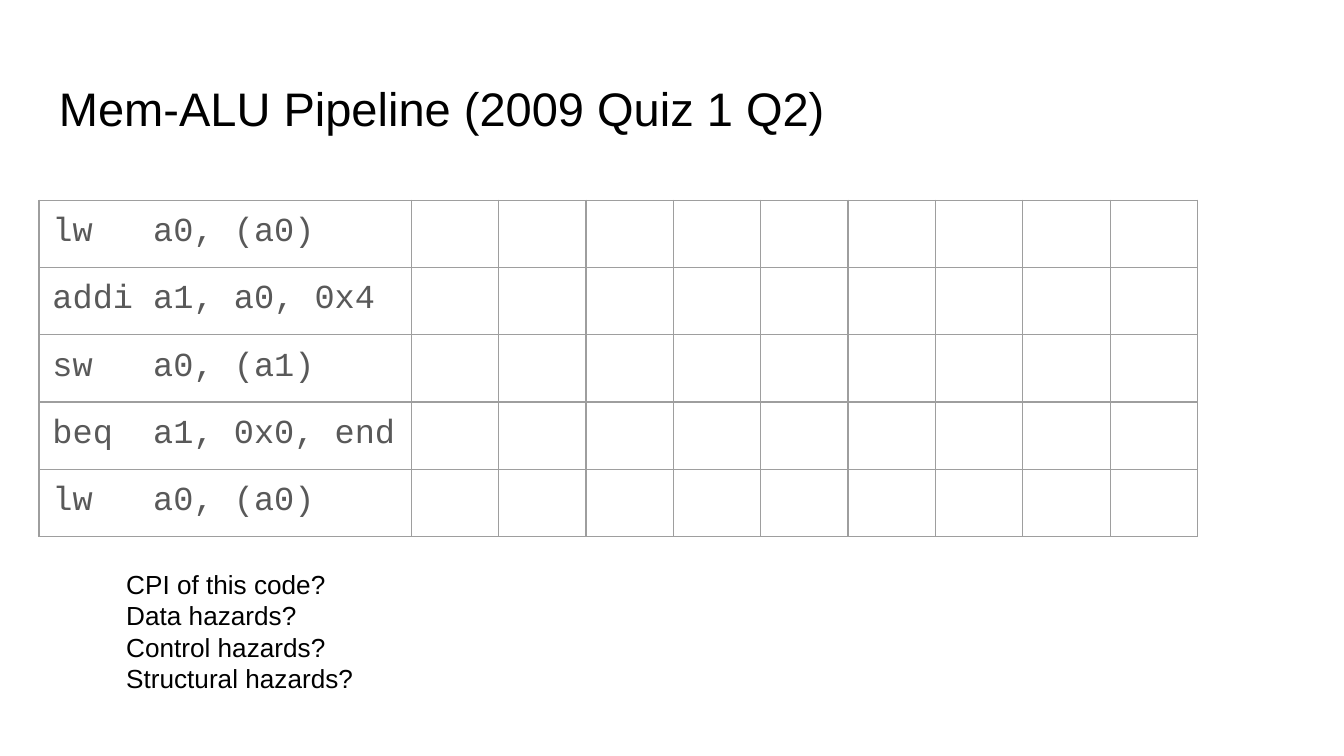
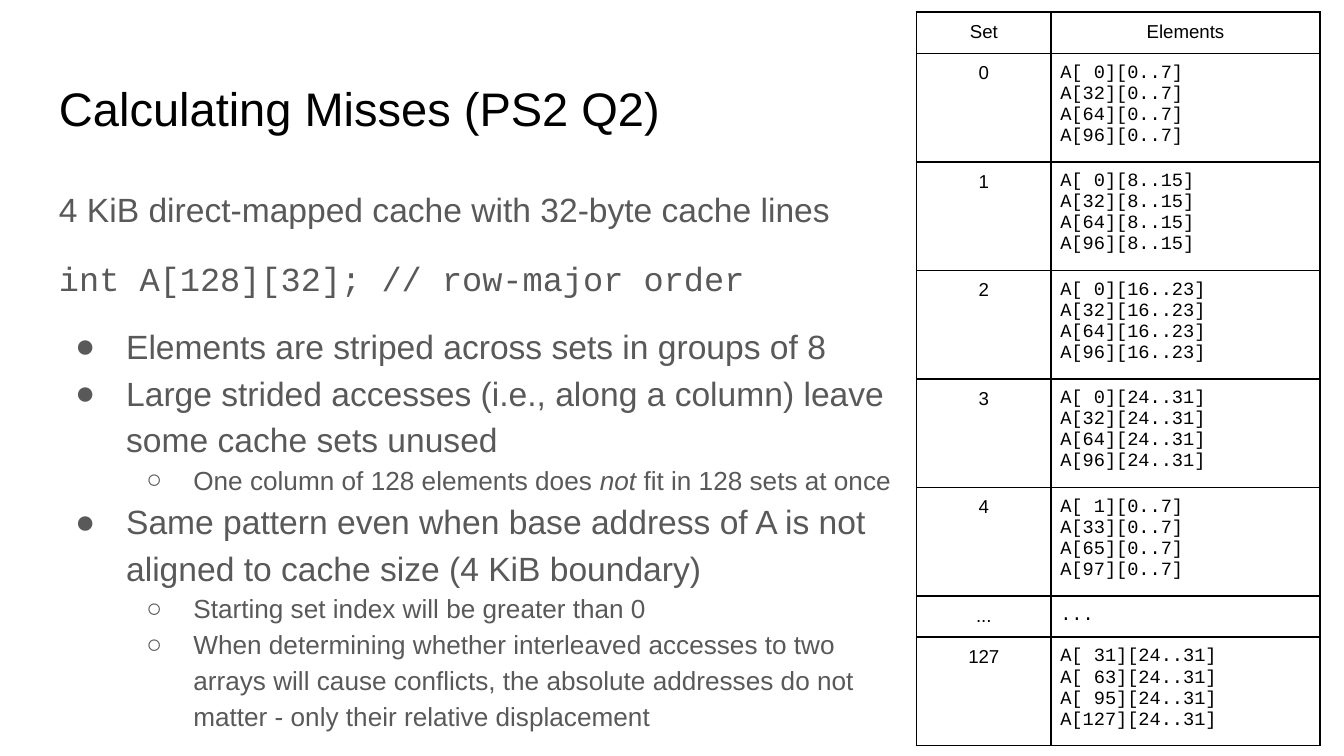
from lxml import etree
from pptx import Presentation
from pptx.dml.color import RGBColor
from pptx.enum.text import MSO_ANCHOR, MSO_AUTO_SIZE, PP_ALIGN
from pptx.oxml.ns import qn
from pptx.util import Inches, Pt

TOP = MSO_ANCHOR.TOP
LEFT, CENTER = PP_ALIGN.LEFT, PP_ALIGN.CENTER
GROW = MSO_AUTO_SIZE.SHAPE_TO_FIT_TEXT

BLACK = RGBColor(0x00, 0x00, 0x00)
GREY = RGBColor(0x59, 0x59, 0x59)
GRID = RGBColor(0x9E, 0x9E, 0x9E)
SANS, MONO = "Arial", "Courier New"

PIPELINE_TITLE = "Mem-ALU Pipeline (2009 Quiz 1 Q2)"
INSTRUCTIONS = [
    "lw   a0, (a0)",
    "addi a1, a0, 0x4",
    "sw   a0, (a1)",
    "beq  a1, 0x0, end",
    "lw   a0, (a0)",
]
CYCLES = 9
QUESTIONS = ["CPI of this code?", "Data hazards?", "Control hazards?", "Structural hazards?"]

MISSES_TITLE = "Calculating Misses (PS2 Q2)"
INTRO = [
    ("4 KiB direct-mapped cache with 32-byte cache lines", SANS, 0),
    ("int A[128][32]; // row-major order", MONO, 12),
]
BULLETS = [
    (0, ["Elements are striped across sets in groups of 8"]),
    (0, ["Large strided accesses (i.e., along a column) leave some cache sets unused"]),
    (1, ["One column of 128 elements does ", "not", " fit in 128 sets at once"]),
    (0, ["Same pattern even when base address of A is not aligned to cache size "
         "(4 KiB boundary)"]),
    (1, ["Starting set index will be greater than 0"]),
    (1, ["When determining whether interleaved accesses to two arrays will cause conflicts, "
         "the absolute addresses do not matter - only their relative displacement"]),
]
BULLET_STYLES = [("●", 0.5, -0.38, 18), ("○", 1, -0.35, 14)]
SETS_SHOWN = [0, 1, 2, 3, 4, None, 127]
GROUP, GROUPS_PER_ROW, ROW_STRIDE, ROWS = 8, 4, 32, 128
TABLE_FRAME = 3.28


def add_run(p, text, size, color, font=SANS, italic=False):
    r = p.add_run()
    r.text = text
    r.font.size = Pt(size)
    r.font.name = font
    r.font.color.rgb = color
    if italic:
        r.font.italic = True


def next_paragraph(tf):
    return tf.paragraphs[0] if not tf.paragraphs[0].runs else tf.add_paragraph()


def add_text_box(s, x, y, w, h):
    tf = s.shapes.add_textbox(Inches(x), Inches(y), Inches(w), Inches(h)).text_frame
    tf.word_wrap = True
    tf.vertical_anchor = TOP
    tf.margin_left = tf.margin_right = tf.margin_top = tf.margin_bottom = Inches(0.1)
    return tf


def add_title_slide(prs, title):
    s = prs.slides.add_slide(prs.slide_layouts[6])
    tf = add_text_box(s, 0.34, 0.49, 9.32, 0.63)
    add_run(tf.paragraphs[0], title, 25.2, BLACK)
    return s


def set_bullet(p, char, left, indent):
    pPr = p._p.get_or_add_pPr()
    pPr.set("marL", str(Inches(left)))
    pPr.set("indent", str(Inches(indent)))
    color = etree.SubElement(pPr, qn("a:buClr"))
    etree.SubElement(color, qn("a:srgbClr"), val=str(GREY))
    etree.SubElement(pPr, qn("a:buFont"), typeface=SANS)
    etree.SubElement(pPr, qn("a:buChar"), char=char)


def set_borders(cell, color, width):
    tcPr = cell._tc.get_or_add_tcPr()
    for side in ("a:lnL", "a:lnR", "a:lnT", "a:lnB"):
        ln = etree.SubElement(tcPr, qn(side), w=str(Pt(width)))
        fill = etree.SubElement(ln, qn("a:solidFill"))
        etree.SubElement(fill, qn("a:srgbClr"), val=str(color))


def add_grid(s, x, y, widths, row_count, row_height, color, line_width):
    frame = s.shapes.add_table(row_count, len(widths), Inches(x), Inches(y),
                               Inches(TABLE_FRAME), Inches(TABLE_FRAME))
    table = frame.table
    table.first_row = table.horz_banding = False
    for column, width in zip(table.columns, widths):
        column.width = Inches(width)
    for row in table.rows:
        row.height = Inches(row_height)
    frame.width = frame.height = Inches(TABLE_FRAME)
    for cell in table.iter_cells():
        set_borders(cell, color, line_width)
        cell.fill.background()
    return table


def fill_cell(cell, lines, size, color, font, margin, align=LEFT):
    cell.margin_left = cell.margin_right = Inches(margin)
    cell.margin_top = cell.margin_bottom = Inches(margin)
    for line in lines:
        p = next_paragraph(cell.text_frame)
        p.alignment = align
        add_run(p, line, size, color, font)


def set_elements(index):
    if index is None:
        return ["..."]
    first_row, group = divmod(index, GROUPS_PER_ROW)
    rows = range(first_row, ROWS, ROW_STRIDE)
    digits = len(str(rows[-1]))
    low = group * GROUP
    return [f"A[{row:>{digits}}][{low}..{low + GROUP - 1}]" for row in rows]


def build_pipeline(prs):
    s = add_title_slide(prs, PIPELINE_TITLE)
    table = add_grid(s, 0.29, 1.49, [2.77] + [0.65] * CYCLES,
                     len(INSTRUCTIONS), 0.42, GRID, 0.75)
    for i, instruction in enumerate(INSTRUCTIONS):
        fill_cell(table.cell(i, 0), [instruction], 18, GREY, MONO, 0.1)
    tf = add_text_box(s, 0.84, 4.13, 6.12, 1.14)
    tf.auto_size = GROW
    for question in QUESTIONS:
        add_run(next_paragraph(tf), question, 14, BLACK)


def build_misses(prs):
    s = add_title_slide(prs, MISSES_TITLE)
    tf = add_text_box(s, 0.34, 1.26, 6.48, 4.27)
    for text, font, before in INTRO:
        p = next_paragraph(tf)
        p.line_spacing = 1.15
        p.space_before = Pt(before)
        add_run(p, text, 18, GREY, font)
    for i, (level, parts) in enumerate(BULLETS):
        char, left, indent, size = BULLET_STYLES[level]
        p = next_paragraph(tf)
        p.level = level
        p.line_spacing = 1.15
        p.space_before = Pt(0 if i else 12)
        set_bullet(p, char, left, indent)
        for j, part in enumerate(parts):
            add_run(p, part, size, GREY, italic=j == 1)

    table = add_grid(s, 6.82, 0.09, [1, 2], len(SETS_SHOWN) + 1, 0.01, BLACK, 1)
    for col, heading in enumerate(["Set", "Elements"]):
        fill_cell(table.cell(0, col), [heading], 10, BLACK, SANS, 0.07, CENTER)
    for i, index in enumerate(SETS_SHOWN, 1):
        label = "..." if index is None else str(index)
        fill_cell(table.cell(i, 0), [label], 10, BLACK, SANS, 0.07, CENTER)
        fill_cell(table.cell(i, 1), set_elements(index), 10, BLACK, MONO, 0.07)


def main():
    prs = Presentation()
    prs.slide_width = Inches(10)
    prs.slide_height = prs.slide_width * 9 // 16
    build_pipeline(prs)
    build_misses(prs)
    prs.save("out.pptx")


if __name__ == "__main__":
    main()
